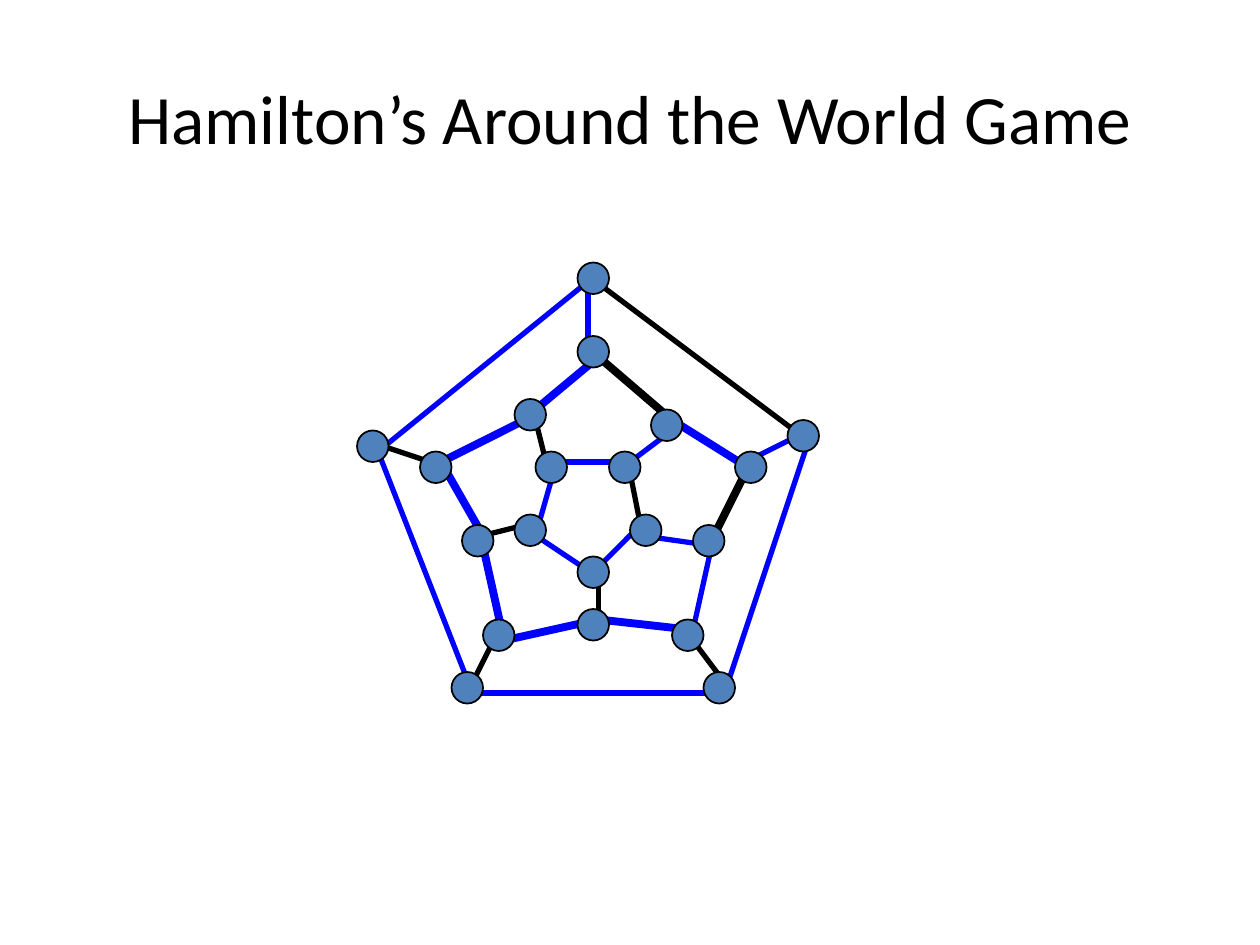
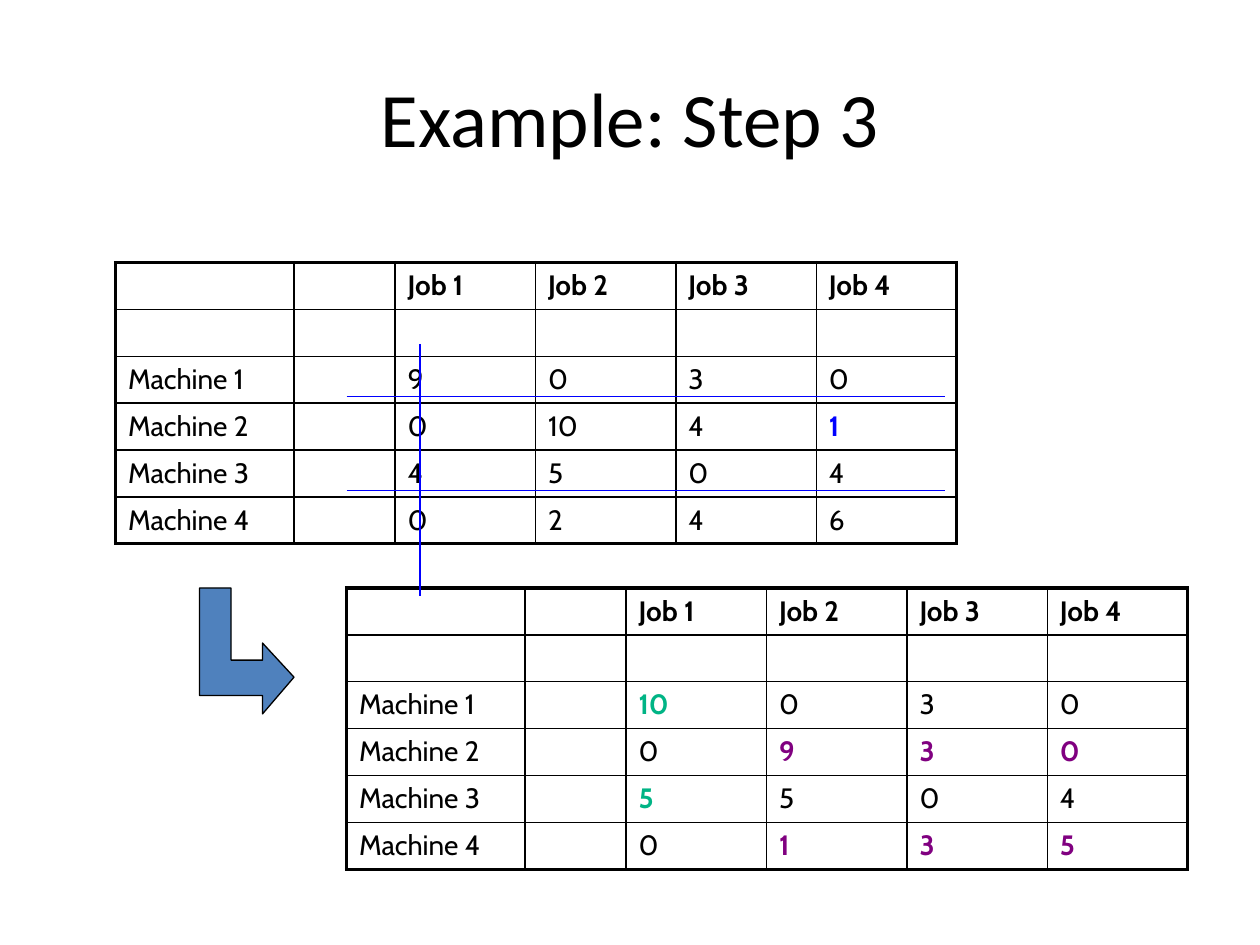
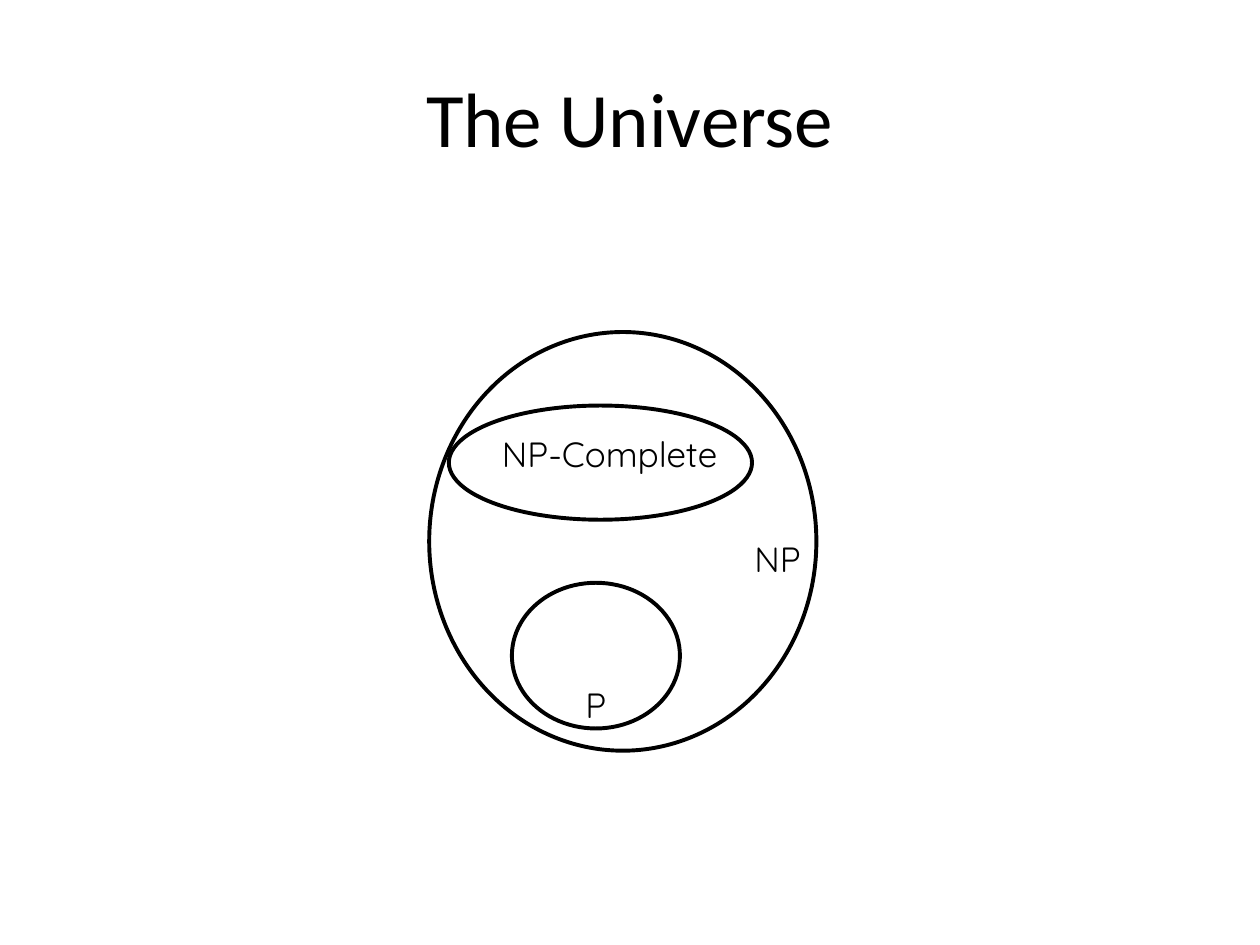
"""Build three slides: Hamilton's game, an assignment example and the NP universe."""
from pptx import Presentation
from pptx.dml.color import RGBColor
from pptx.enum.shapes import MSO_CONNECTOR as Connector, MSO_SHAPE as Shape
from pptx.enum.text import MSO_ANCHOR as Anchor, MSO_AUTO_SIZE as AutoSize, PP_ALIGN as Align
from pptx.oxml.ns import qn
from pptx.util import Pt
from lxml.etree import SubElement, Element

PX = 9525
BLACK = RGBColor(0x00, 0x00, 0x00)
BLUE = RGBColor(0x00, 0x00, 0xFF)
STEEL = RGBColor(0x4F, 0x81, 0xBD)
GREEN = RGBColor(0x00, 0xB4, 0x85)
PURPLE = RGBColor(0x80, 0x00, 0x80)


def write(frame, text, size=20, font="Quicksand", color=BLACK, bold=False, align=Align.CENTER):
    para = frame.paragraphs[0]
    para.alignment = align
    span = para.add_run()
    span.text = text
    span.font.size = Pt(size)
    span.font.name = font
    span.font.bold = bold
    span.font.color.rgb = color


def draw_line(slide, ends, color, width):
    line = slide.shapes.add_connector(Connector.STRAIGHT, *[value * PX for value in ends])
    line.line.color.rgb = color
    line.line.width = Pt(width)
    SubElement(line._element.spPr, qn("a:effectLst"))


deck = Presentation()
deck.slide_width, deck.slide_height = 960 * PX, 720 * PX

slides = []
for heading, size in [("Hamilton’s Around the World Game", 39.6),
                      ("Example: Step 3", 44), ("The Universe", 44)]:
    slide = deck.slides.add_slide(deck.slide_layouts[5])
    title = slide.shapes.title
    title.left, title.top, title.width, title.height = 48 * PX, 29 * PX, 864 * PX, 120 * PX
    title.text_frame.auto_size = AutoSize.NONE
    title.text_frame.vertical_anchor = Anchor.MIDDLE
    write(title.text_frame, heading, size=size, font="Calibri")
    slides.append(slide)
game, example, universe = slides

edge_groups = [
    (BLUE, 4.5, [
        (456, 272, 408, 312), (400, 320, 336, 352), (336, 352, 368, 408), (368, 416, 384, 488),
        (384, 488, 456, 472), (456, 472, 528, 480), (576, 360, 512, 320)]),
    (BLUE, 3, [
        (528, 480, 544, 408), (424, 352, 472, 352), (488, 400, 456, 432), (456, 440, 408, 408),
        (408, 408, 424, 352), (288, 344, 456, 208), (616, 336, 552, 528), (552, 528, 360, 528),
        (360, 528, 288, 344), (448, 208, 448, 264), (616, 328, 568, 352), (480, 352, 512, 328),
        (488, 408, 544, 416)]),
    (BLACK, 4.5, [(544, 408, 568, 360), (512, 320, 456, 272)]),
    (BLACK, 3, [
        (480, 360, 488, 400), (456, 216, 616, 336), (280, 336, 328, 352), (360, 520, 376, 488),
        (552, 520, 528, 488), (368, 408, 400, 400), (408, 320, 416, 352), (456, 440, 456, 472)]),
]
for color, width, edges in edge_groups:
    for ends in edges:
        draw_line(game, ends, color, width)

NODE = 24
nodes = [
    (272, 328), (440, 200), (440, 256), (392, 304), (320, 344), (408, 344), (392, 392),
    (464, 344), (480, 392), (440, 424), (352, 400), (368, 472), (440, 464), (512, 472),
    (528, 400), (560, 344), (600, 320), (536, 512), (344, 512), (496, 312)]
for left, top in nodes:
    node = game.shapes.add_shape(Shape.OVAL, left * PX, top * PX, NODE * PX, NODE * PX)
    node.shadow.inherit = False
    node.fill.solid()
    node.fill.fore_color.rgb = STEEL
    node.line.color.rgb = BLACK
    node.line.width = Pt(1)

COLUMNS = [136, 77, 107, 107, 107, 107]
ROW, ROWS = 35, 6
matrices = [
    (88, 200, [[9, 0, 3, 0], [0, 10, 4, 1], [4, 5, 0, 4], [0, 2, 4, 6]], {(3, 5): BLUE}),
    (264, 448, [[10, 0, 3, 0], [0, 9, 3, 0], [5, 5, 0, 4], [0, 1, 3, 5]],
     {(2, 2): GREEN, (4, 2): GREEN, (3, 3): PURPLE, (3, 4): PURPLE, (3, 5): PURPLE,
      (5, 3): PURPLE, (5, 4): PURPLE, (5, 5): PURPLE}),
]
for left, top, costs, highlights in matrices:
    table = example.shapes.add_table(ROWS, len(COLUMNS), left * PX, top * PX,
                                     sum(COLUMNS) * PX, ROWS * ROW * PX).table
    table.first_row = table.horz_banding = False
    for column, width in zip(table.columns, COLUMNS):
        column.width = width * PX
    lines = [["", ""] + [f"Job {job}" for job in range(1, 5)], [""] * 6]
    lines += [[f"Machine {number}", ""] + values for number, values in enumerate(costs, 1)]
    for r, line in enumerate(lines):
        table.rows[r].height = ROW * PX
        for c, value in enumerate(line):
            cell = table.cell(r, c)
            cell.fill.background()
            if value == "":
                cell.text_frame.paragraphs[0]._p.get_or_add_endParaRPr().set("sz", "1600")
            else:
                write(cell.text_frame, str(value), size=16, font="Cabin", align=Align.LEFT,
                      color=highlights.get((r, c), BLACK), bold=r == 0 or (r, c) in highlights)
            outer_sides = [c == 0, c == len(COLUMNS) - 1, r == 0, r == ROWS - 1]
            for index, (side, outer) in enumerate(zip("LRTB", outer_sides)):
                border = Element(qn(f"a:ln{side}"), w=str(Pt(2.25 if outer else 1)))
                fill = SubElement(border, qn("a:solidFill"))
                SubElement(fill, qn("a:srgbClr"), val=str(BLACK))
                cell._tc.get_or_add_tcPr().insert(index, border)

for ends in [(264, 302, 720, 302), (264, 374, 720, 374), (320, 262, 320, 454)]:
    draw_line(example, ends, BLUE, 0.75)

outline = example.shapes.build_freeform(224, 516, scale=PX)
outline.add_line_segments([(200, 490), (200, 503), (176, 503), (176, 448), (152, 448),
                           (152, 530), (200, 530), (200, 544)], close=True)
arrow = outline.convert_to_shape()
arrow.shadow.inherit = False
arrow.fill.solid()
arrow.fill.fore_color.rgb = STEEL
arrow.line.color.rgb = BLACK
arrow.line.width = Pt(0.75)

for bounds in [(327, 253, 295, 319), (390, 444, 128, 111), (342, 309, 231, 87)]:
    region = universe.shapes.add_shape(Shape.OVAL, *[value * PX for value in bounds])
    region.shadow.inherit = False
    region.fill.background()
    region.line.color.rgb = BLACK
    region.line.width = Pt(2.25)

for name, bounds in [("NP-Complete", (373, 325, 183, 41)), ("NP", (525, 405, 135, 41)),
                     ("P", (414, 516, 80, 41))]:
    box = universe.shapes.add_textbox(*[value * PX for value in bounds])
    box.text_frame.word_wrap = True
    write(box.text_frame, name)

deck.save("out.pptx")
